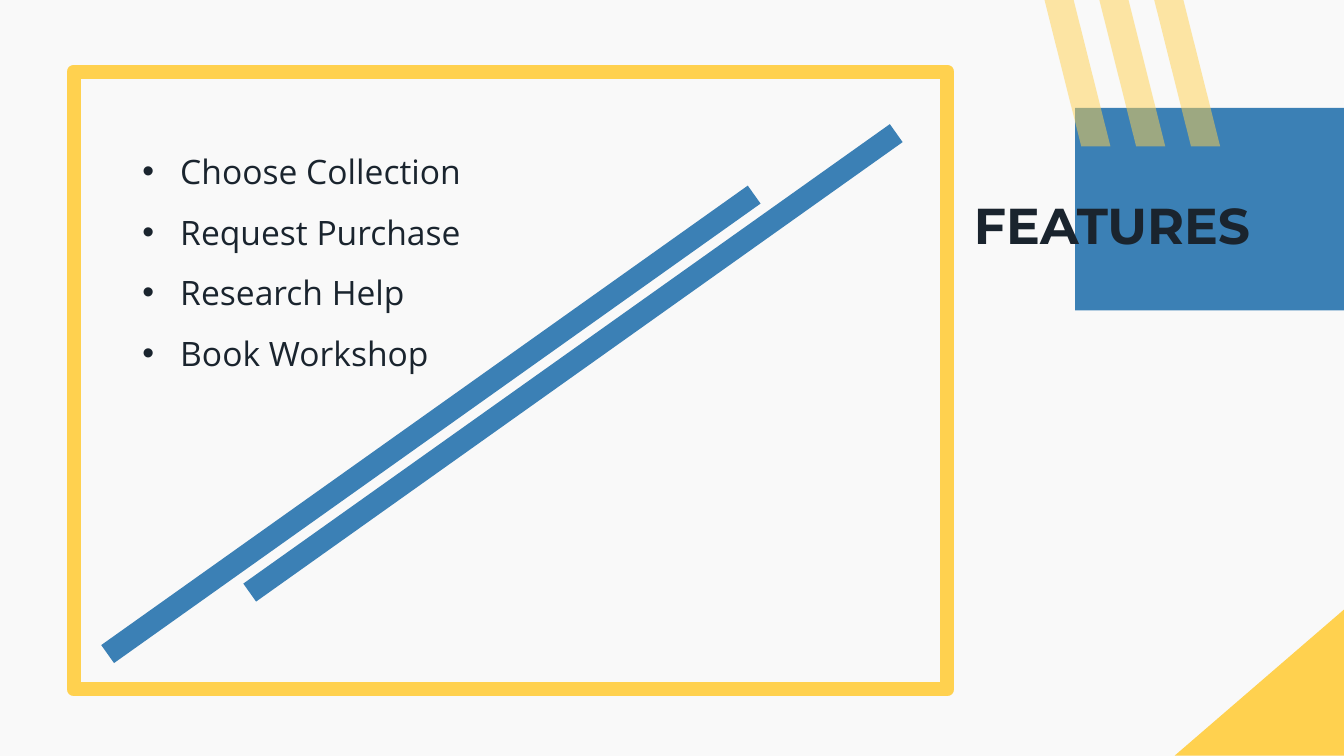
from dataclasses import dataclass

import pptx
import pptx.dml.color
import pptx.enum.shapes
import pptx.enum.text
import pptx.oxml
import pptx.oxml.ns
import pptx.util

Pt = pptx.util.Pt
RGBColor = pptx.dml.color.RGBColor
MSO_SHAPE = pptx.enum.shapes.MSO_SHAPE

PAPER = RGBColor(0xF9, 0xF9, 0xF9)
BLUE = RGBColor(0x3B, 0x80, 0xB5)
YELLOW = RGBColor(0xFF, 0xD1, 0x4F)
INK = RGBColor(0x1A, 0x24, 0x2E)

NS = pptx.oxml.ns.nsdecls("a")
FEATURES = ["Choose Collection", "Request Purchase", "Research Help", "Book Workshop"]


@dataclass
class Block:
    kind: MSO_SHAPE
    left: float
    top: float
    width: float
    height: float
    color: RGBColor
    rotation: float = 0
    alpha: int = 100


BLOCKS = [
    Block(MSO_SHAPE.RECTANGLE, 768, 77, 192, 144.7, BLUE),
    *[
        Block(MSO_SHAPE.PARALLELOGRAM, 687.6 + 39.2 * i, 22.3, 154.1, 20.2, YELLOW, 75.9, 50)
        for i in range(3)
    ],
    Block(MSO_SHAPE.RECTANGLE, 126, 251.3, 566.6, 15.8, BLUE, 324.6),
    Block(MSO_SHAPE.RECTANGLE, 24.5, 295.2, 566.6, 15.8, BLUE, 324.6),
    Block(MSO_SHAPE.RIGHT_TRIANGLE, 847.4, 427, 104.4, 121, YELLOW, 270),
]


def add_block(s: pptx.slide.Slide, b: Block) -> None:
    sp = s.shapes.add_shape(b.kind, Pt(b.left), Pt(b.top), Pt(b.width), Pt(b.height))
    sp.shadow.inherit = False
    sp.rotation = b.rotation
    sp.fill.solid()
    sp.fill.fore_color.rgb = b.color
    sp.line.fill.background()
    if b.alpha < 100:
        clr = sp.fill._xPr.find(".//" + pptx.oxml.ns.qn("a:srgbClr"))
        clr.append(pptx.oxml.parse_xml(f'<a:alpha {NS} val="{b.alpha * 1000}"/>'))


def add_frame(s: pptx.slide.Slide) -> None:
    sp = s.shapes.add_shape(MSO_SHAPE.RECTANGLE, Pt(52.6), Pt(51.1), Pt(624.2), Pt(441.4))
    sp.shadow.inherit = False
    sp.fill.background()
    sp.line.color.rgb = YELLOW
    sp.line.width = Pt(10)


def style_run(r: pptx.text.text._Run, font: str, size: float, bold: bool = False) -> None:
    r.font.name = font
    r.font.size = Pt(size)
    r.font.bold = bold
    r.font.color.rgb = INK


def add_title(s: pptx.slide.Slide) -> None:
    tf = s.shapes.add_textbox(Pt(572.4), Pt(88.6), Pt(327.6), Pt(143.3)).text_frame
    tf.word_wrap = True
    tf.vertical_anchor = pptx.enum.text.MSO_ANCHOR.MIDDLE
    tf.text = "FEATURES"
    p = tf.paragraphs[0]
    p.alignment = pptx.enum.text.PP_ALIGN.RIGHT
    r = p.runs[0]
    style_run(r, "Montserrat", 36, True)
    shadow = pptx.oxml.parse_xml(
        f'<a:effectLst {NS}><a:outerShdw blurRad="38100" dist="38100" dir="2700000" algn="tl">'
        '<a:srgbClr val="000000"><a:alpha val="43000"/></a:srgbClr></a:outerShdw></a:effectLst>'
    )
    r.font._element.find(pptx.oxml.ns.qn("a:solidFill")).addnext(shadow)


def add_features(s: pptx.slide.Slide) -> None:
    tf = s.shapes.add_textbox(Pt(66.2), Pt(90), Pt(436.3), Pt(181.4)).text_frame
    tf.word_wrap = True
    tf.auto_size = pptx.enum.text.MSO_AUTO_SIZE.SHAPE_TO_FIT_TEXT
    tf.text = "\n".join(FEATURES)
    for p in tf.paragraphs:
        p.line_spacing = 1.5
        style_run(p.runs[0], "Open Sans", 24)
        pPr = p._p.get_or_add_pPr()
        pPr.set("marL", str(Pt(55.5)))
        pPr.set("indent", str(Pt(-27)))
        pPr.append(pptx.oxml.parse_xml(f'<a:buFont {NS} typeface="Arial"/>'))
        pPr.append(pptx.oxml.parse_xml(f'<a:buChar {NS} char="•"/>'))


def main() -> None:
    prs = pptx.Presentation()
    prs.slide_width, prs.slide_height = Pt(960), Pt(540)
    s = prs.slides.add_slide(prs.slide_layouts[6])
    s.background.fill.solid()
    s.background.fill.fore_color.rgb = PAPER
    add_frame(s)
    for b in BLOCKS:
        add_block(s, b)
    add_title(s)
    add_features(s)
    prs.save("out.pptx")


if __name__ == "__main__":
    main()
